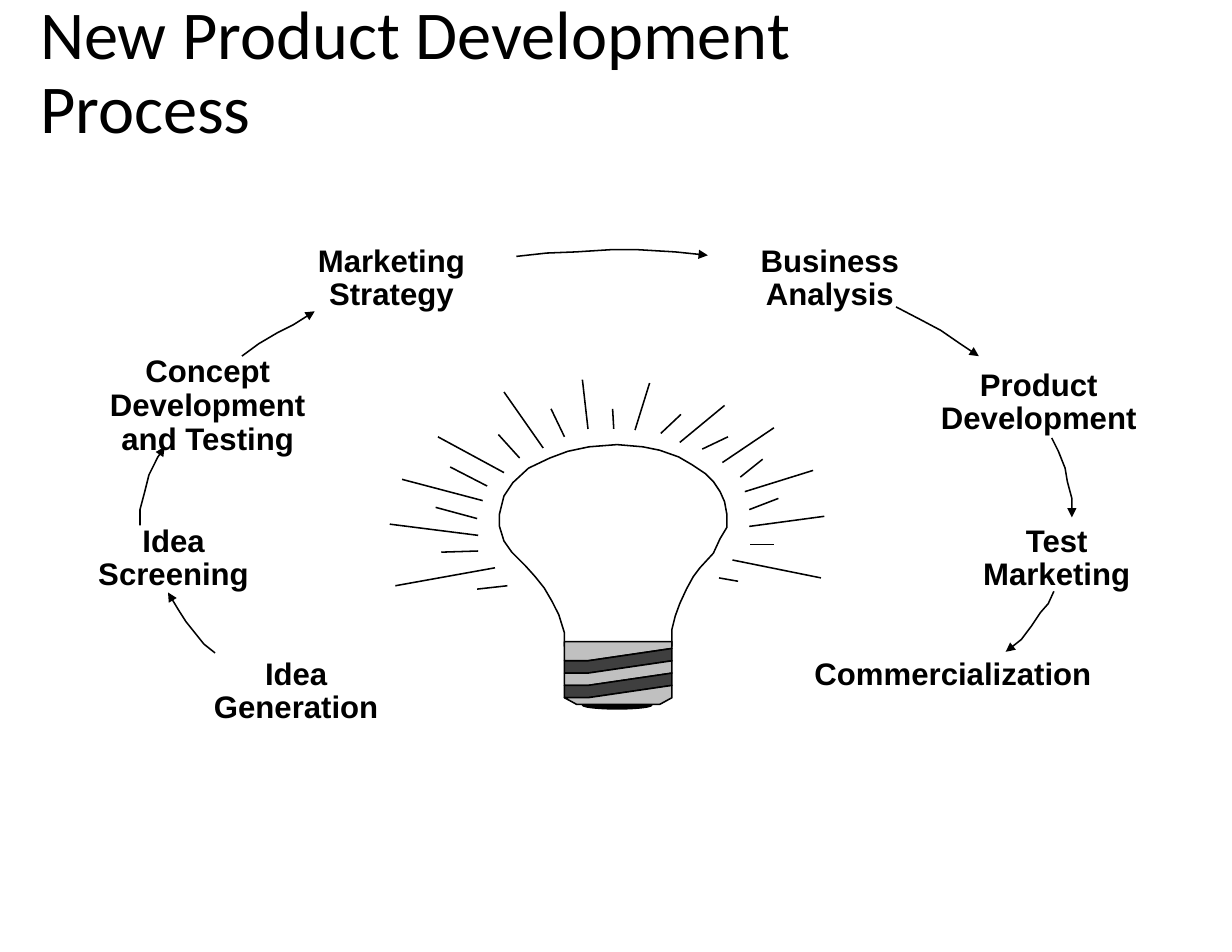
from dataclasses import dataclass

from lxml.etree import SubElement
from pptx import Presentation
from pptx.dml.color import RGBColor
from pptx.enum.shapes import MSO_CONNECTOR, MSO_SHAPE
from pptx.enum.text import MSO_ANCHOR, MSO_AUTO_SIZE, PP_ALIGN
from pptx.oxml.ns import qn
from pptx.util import Inches, Pt


@dataclass(frozen=True)
class Theme:
    ink: RGBColor = RGBColor(0, 0, 0)
    glass: RGBColor = RGBColor(255, 255, 255)
    metal: RGBColor = RGBColor(0xC0, 0xC0, 0xC0)
    thread: RGBColor = RGBColor(0x3F, 0x3F, 0x3F)
    title_font: str = "Calibri"
    label_font: str = "Arial"
    title_size: Pt = Pt(44)
    label_size: Pt = Pt(20)
    stroke: Pt = Pt(1)
    line_spacing: float = 0.9


THEME = Theme()
COLUMNS, ROWS = 110, 85
CELL = Inches(11) / COLUMNS


@dataclass(frozen=True)
class Box:
    left: float
    top: float
    columns: float
    rows: float

    def point(self, column, row):
        return round((self.left + column) * CELL), round((self.top + row) * CELL)

    def area(self, column, row, columns, rows):
        return *self.point(column, row), round(columns * CELL), round(rows * CELL)


GLASS = [
    (13.8, 18.5), (12.9, 17.5), (11.7, 16.3), (11, 15.3), (10.6, 14), (10.6, 12.9),
    (11, 11.3), (11.8, 10.1), (13.2, 8.8), (15.1, 7.9), (16.7, 7.3), (18.6, 6.9),
    (21.1, 6.7), (23.4, 6.9), (24.9, 7.2), (26.6, 7.8), (27.8, 8.5), (29, 9.3),
    (29.7, 10), (30.3, 10.9), (30.7, 11.8), (30.9, 12.9), (30.9, 14.1), (30.3, 15.1),
    (29.7, 16.4), (28.5, 17.7), (27.9, 18.5), (27.3, 19.6), (26.7, 20.9), (26.3, 22),
    (26, 23.2), (26, 24.7), (16.4, 24.7), (16.4, 23.5), (15.9, 21.9), (15.3, 20.7),
    (14.6, 19.5),
]

RAYS = [
    (30.7, 3.2, 26.7, 6.5), (26.8, 4, 25, 5.7), (24, 1.2, 22.7, 5.4),
    (20.7, 3.5, 20.8, 5.3), (18, 0.9, 18.5, 5.3), (16.4, 6, 15.2, 3.5),
    (14.5, 7, 11, 2), (12.4, 7.9, 10.5, 5.8), (11, 9.2, 5.1, 6),
    (9.5, 10.4, 6.2, 8.7), (9.1, 11.7, 1.9, 9.8), (8.6, 13.3, 4.9, 12.3),
    (8.7, 14.8, 0.8, 13.8), (8.7, 16.2, 5.4, 16.3), (10.2, 17.7, 1.3, 19.3),
    (11.3, 19.3, 8.6, 19.6), (30.5, 8.3, 35.1, 5.2), (32.1, 9.6, 34.1, 8),
    (32.5, 10.9, 38.6, 9), (32.9, 12.5, 35.5, 11.5), (32.9, 14, 39.6, 13.1),
    (33, 15.6, 35.1, 15.6), (31.4, 17, 39.3, 18.6), (30.2, 18.6, 31.9, 18.9),
    (31, 6, 28.7, 7.1),
]

STEPS = [
    (["Idea", "Generation"], (18.1, 38.3, 16.7, 7)),
    (["Idea", "Screening"], (7.6, 26.4, 15.8, 7)),
    (["Concept", "Development", "and Testing"], (8.8, 11.3, 19.5, 10)),
    (["Marketing", "Strategy"], (27.2, 1.4, 15.5, 7)),
    (["Business", "Analysis"], (66.9, 1.4, 14.4, 7)),
    (["Product", "Development"], (83, 12.5, 19.5, 7)),
    (["Test", "Marketing"], (86.6, 26.4, 15.5, 7)),
    (["Commercialization"], (69.1, 38.3, 32, 4)),
]

ARROWS = [
    [(19.2, 38.3), (18.2, 37.5), (17.4, 36.5), (16.6, 35.5), (15.9, 34.4), (15.3, 33.4), (15, 32.9)],
    [(12.5, 26.9), (12.5, 25.5), (12.9, 24), (13.3, 22.4), (14.1, 20.8), (14.7, 19.9)],
    [(21.6, 11.8), (23.1, 10.7), (24.8, 9.7), (26.2, 9), (28.1, 7.8)],
    [(46.1, 2.9), (48.8, 2.6), (51.4, 2.5), (54.5, 2.3), (57, 2.3), (60.3, 2.5), (63.2, 2.8)],
    [(80, 7.4), (82.3, 8.6), (84, 9.5), (85.6, 10.6), (87.4, 11.8)],
    [(93.9, 19.1), (94.5, 20.3), (95.1, 21.8), (95.3, 23), (95.7, 24.5), (95.7, 26.2)],
    [(94.1, 32.8), (93.6, 33.9), (92.9, 34.7), (92.1, 35.9), (91.2, 37.1), (89.8, 38.2)],
]


def paint(shape, fill=None):
    shape.shadow.inherit = False
    if fill is None:
        shape.fill.background()
    else:
        shape.fill.solid()
        shape.fill.fore_color.rgb = fill
    shape.line.color.rgb = THEME.ink
    shape.line.width = THEME.stroke


def add_outline(shapes, box, points, fill=None):
    corners = [box.point(*point) for point in points]
    builder = shapes.build_freeform(*corners[0], scale=1.0)
    builder.add_line_segments(corners[1:], close=fill is not None)
    outline = builder.convert_to_shape()
    paint(outline, fill)
    return outline


def style_paragraph(para, font_name, size, bold, alignment):
    para.alignment = alignment
    para.line_spacing = THEME.line_spacing
    para.font.name = font_name
    para.font.size = size
    para.font.bold = bold
    para.font.color.rgb = THEME.ink


def add_title(page, box):
    frame = page.shapes.add_textbox(*box.area(0, 0, box.columns, box.rows)).text_frame
    frame.word_wrap = True
    frame.vertical_anchor = MSO_ANCHOR.MIDDLE
    para = frame.paragraphs[0]
    para.text = "New Product Development\vProcess"
    style_paragraph(para, THEME.title_font, THEME.title_size, False, PP_ALIGN.LEFT)


def add_screw_base(shapes, box):
    left, knee, right, pitch = 16.4, 18.5, 26, 1.1
    top, first, last = 24.3, 26, 29.3
    add_outline(shapes, box, [(left, top), (left, first), (knee, first),
                              (right, first - pitch), (right, top)], THEME.metal)
    for turn, fill in enumerate([THEME.thread, THEME.metal, THEME.thread]):
        row = first + turn * pitch
        add_outline(shapes, box, [(knee, row), (left, row), (left, row + pitch),
                                  (knee, row + pitch), (right, row), (right, row - pitch)], fill)
    add_outline(shapes, box, [(knee, last), (left, last), (left + pitch, 29.9),
                              (right - pitch, 29.9), (right, last), (right, last - pitch)], THEME.metal)


def add_light_bulb(page, box):
    shapes = page.shapes.add_group_shape().shapes
    add_outline(shapes, box, GLASS, THEME.glass)
    paint(shapes.add_shape(MSO_SHAPE.OVAL, *box.area(18, 29.6, 6.2, 0.7)), THEME.ink)
    add_screw_base(shapes, box)
    for start_column, start_row, end_column, end_row in RAYS:
        ray = shapes.add_connector(MSO_CONNECTOR.STRAIGHT, *box.point(start_column, start_row),
                                   *box.point(end_column, end_row))
        ray.line.color.rgb = THEME.ink
        ray.line.width = THEME.stroke
        SubElement(ray.element.spPr, qn("a:effectLst"))


def add_process_cycle(page, box):
    for lines, area in STEPS:
        frame = page.shapes.add_textbox(*box.area(*area)).text_frame
        frame.word_wrap = len(lines) == 1
        frame.auto_size = MSO_AUTO_SIZE.SHAPE_TO_FIT_TEXT
        frame.text = "\n".join(lines)
        for para in frame.paragraphs:
            style_paragraph(para, THEME.label_font, THEME.label_size, True, PP_ALIGN.CENTER)
    for points in ARROWS:
        arrow = add_outline(page.shapes, box, points)
        SubElement(arrow.element.spPr.find(qn("a:ln")), qn("a:tailEnd"), type="triangle")


def main():
    deck = Presentation()
    deck.slide_width = round(COLUMNS * CELL)
    deck.slide_height = round(ROWS * CELL)
    page = deck.slides.add_slide(deck.slide_layouts[6])
    add_title(page, Box(2.6, -0.2, 73, 13.7))
    add_light_bulb(page, Box(34, 33, 40, 31))
    add_process_cycle(page, Box(0, 20, COLUMNS, 46))
    deck.save("out.pptx")


if __name__ == "__main__":
    main()
